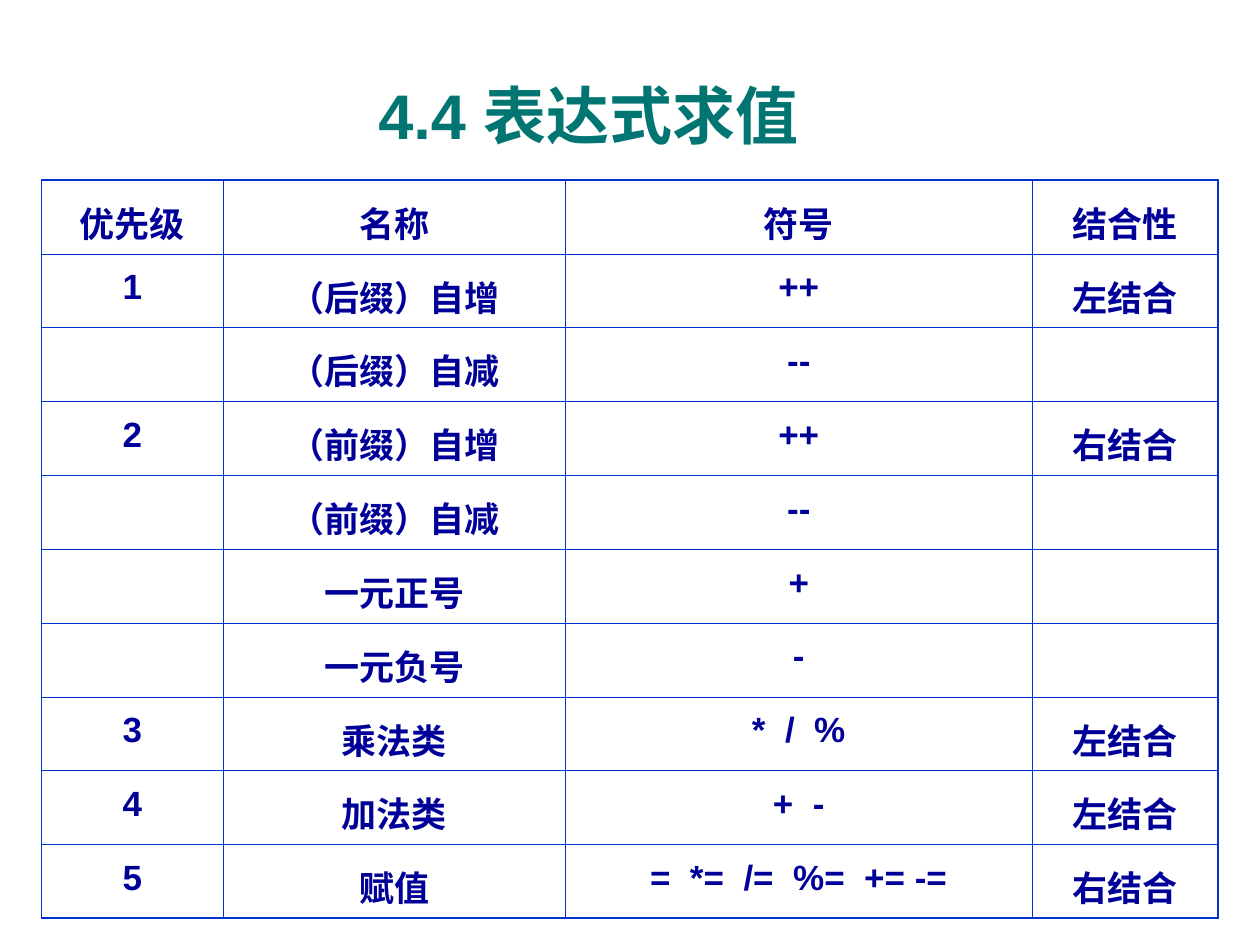
from lxml import etree
from pptx import Presentation
from pptx.dml.color import RGBColor
from pptx.enum.text import MSO_ANCHOR, PP_ALIGN
from pptx.oxml.ns import qn
from pptx.util import Inches, Pt

CENTER = PP_ALIGN.CENTER
TOP, MIDDLE = MSO_ANCHOR.TOP, MSO_ANCHOR.MIDDLE
TITLE_ONLY = 5
FONT = "Arial"
COLORS = {"title": "007572", "text": "000099", "border": "0033CC", "page": "FFFFFF"}
INNER_LINE, OUTER_LINE = Pt(0.45), Pt(1.08)

COLUMN_WIDTHS = [1.44, 2.72, 3.7, 1.48]
OPERATORS = [
    ("优先级", "名称", "符号", "结合性"),
    ("1", "（后缀）自增", "++", "左结合"),
    ("", "（后缀）自减", "--", ""),
    ("2", "（前缀）自增", "++", "右结合"),
    ("", "（前缀）自减", "--", ""),
    ("", "一元正号", "+", ""),
    ("", "一元负号", "-", ""),
    ("3", "乘法类", "*  /  %", "左结合"),
    ("4", "加法类", "+  -", "左结合"),
    ("5", "赋值", "=  *=  /=  %=  += -=", "右结合"),
]


def format_font(font, size, color):
    font.name = FONT
    font.size = Pt(size)
    font.bold = True
    font.color.rgb = RGBColor.from_string(COLORS[color])


def set_borders(cell, outer_sides):
    """Draw all four cell borders, heavier on the outer sides of the table."""
    properties = cell._tc.get_or_add_tcPr()
    for position, side in enumerate("LRTB"):
        width = OUTER_LINE if side in outer_sides else INNER_LINE
        line = etree.Element(qn(f"a:ln{side}"), w=str(int(width)))
        fill = etree.SubElement(line, qn("a:solidFill"))
        etree.SubElement(fill, qn("a:srgbClr"), val=COLORS["border"])
        properties.insert(position, line)


def add_title(slide, left, top, width, height):
    title = slide.shapes.title
    title.left, title.top, title.width, title.height = left, top, width, height
    frame = title.text_frame
    frame.text = "4.4 表达式求值"
    frame.vertical_anchor = MIDDLE
    paragraph = frame.paragraphs[0]
    paragraph.alignment = CENTER
    format_font(paragraph.runs[0].font, 36, "title")


def fill_cell(cell, text):
    cell.fill.background()
    cell.vertical_anchor = TOP
    cell.margin_left = cell.margin_right = Inches(0.1)
    cell.margin_top = cell.margin_bottom = Inches(0.05)
    cell.text_frame.text = text
    paragraph = cell.text_frame.paragraphs[0]
    paragraph.alignment = CENTER
    if text:
        paragraph.line_spacing = 1.2
        paragraph.space_before = Pt(7.5)
        format_font(paragraph.runs[0].font, 20, "text")


def add_operator_table(slide, left, top, width, height):
    row_count, column_count = len(OPERATORS), len(COLUMN_WIDTHS)
    table = slide.shapes.add_table(
        row_count, column_count, left, top, width, height
    ).table
    table.first_row = table.horz_banding = False
    for column, column_width in zip(table.columns, COLUMN_WIDTHS):
        column.width = Inches(column_width)
    for row in table.rows:
        row.height = int(height / row_count)

    for row_index, values in enumerate(OPERATORS):
        for column_index, text in enumerate(values):
            cell = table.cell(row_index, column_index)
            fill_cell(cell, text)
            edges = {
                "L": column_index == 0,
                "R": column_index == column_count - 1,
                "T": row_index == 0,
                "B": row_index == row_count - 1,
            }
            set_borders(cell, [side for side, is_outer in edges.items() if is_outer])


def main():
    presentation = Presentation()
    presentation.slide_width, presentation.slide_height = Inches(10), Inches(7.5)
    slide = presentation.slides.add_slide(presentation.slide_layouts[TITLE_ONLY])
    background = slide.background.fill
    background.solid()
    background.fore_color.rgb = RGBColor.from_string(COLORS["page"])

    # Heading
    add_title(slide, Inches(0), Inches(0.28), Inches(9.34), Inches(1.25))
    # Operator precedence
    add_operator_table(slide, Inches(0.33), Inches(1.43), Inches(9.34), Inches(5.86))
    presentation.save("out.pptx")


if __name__ == "__main__":
    main()
